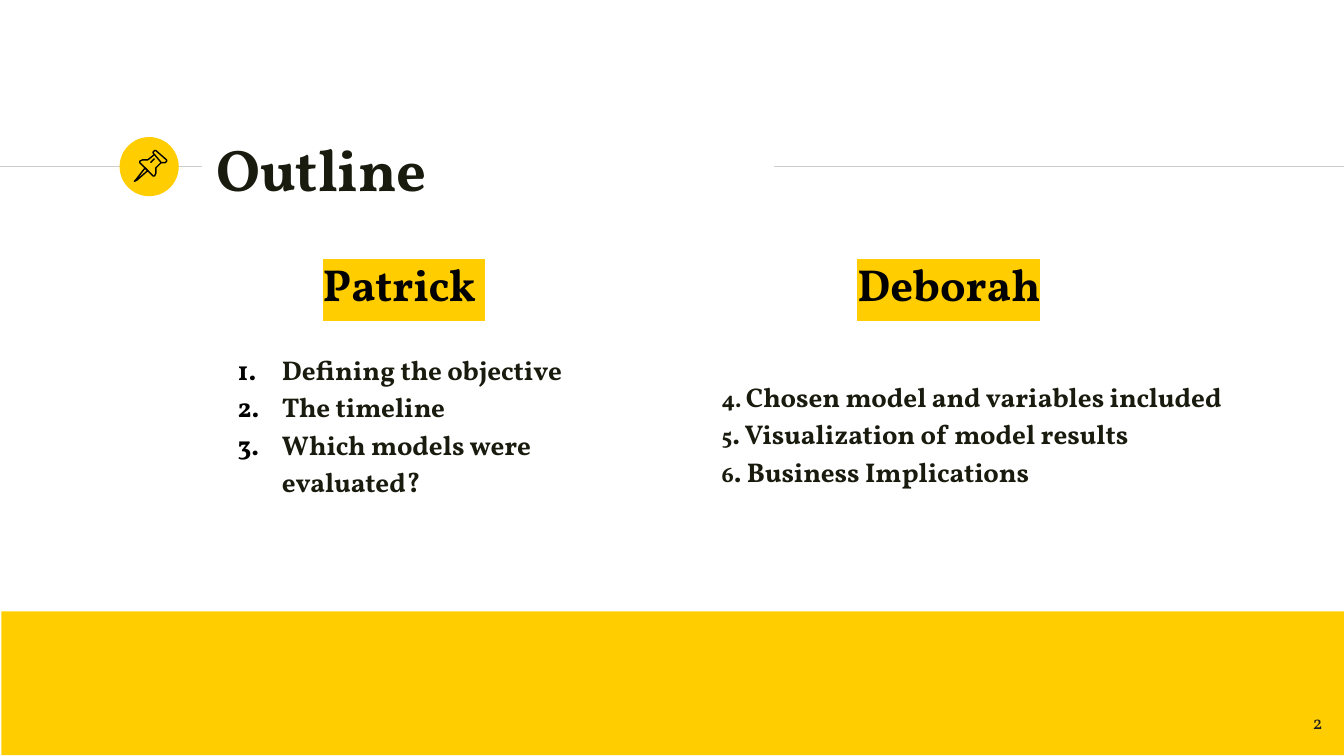
import pptx
import pptx.util
import pptx.dml.color
import pptx.enum.shapes
import pptx.enum.text
import pptx.oxml
import pptx.oxml.ns
import lxml.etree

Inches, Pt = pptx.util.Inches, pptx.util.Pt
SHAPE = pptx.enum.shapes.MSO_SHAPE
ALIGN = pptx.enum.text.PP_ALIGN
ANCHOR = pptx.enum.text.MSO_ANCHOR
FONT, YELLOW, INK, BLACK, GREY = "Vollkorn", "FFCD00", "191B0E", "000000", "CCCCCC"

PIN = [
    ([(19, 23), (12, 32), (11, 33), (13, 32), (21, 25)], True),
    ([(26, 13), (31, 19), (34, 19), (35, 18), (35, 17), (27, 10), (26, 10), (25, 11), (25, 12)], True),
    ([(26, 13), (21, 17), (17, 17), (15, 18), (15, 19), (25, 29), (26, 29), (27, 27), (27, 23), (31, 19)], False),
    ([(23, 19), (26, 16)], False),
]


def rgb(color):
    return pptx.dml.color.RGBColor.from_string(color)


def element(parent, tag, **attrs):
    return lxml.etree.SubElement(parent, pptx.oxml.ns.qn(tag), **attrs)


def style(r, size, color, bold=True):
    r.font.name = FONT
    r.font.size = Pt(size)
    r.font.bold = bold
    r.font.color.rgb = rgb(color)


def highlight(r, color):
    rPr = r._r.get_or_add_rPr()
    mark = element(rPr, "a:highlight")
    element(mark, "a:srgbClr", val=color)
    rPr.find(pptx.oxml.ns.qn("a:solidFill")).addnext(mark)


def number(p):
    pPr = p._p.get_or_add_pPr()
    color = element(pPr, "a:buClr")
    element(color, "a:srgbClr", val=BLACK)
    element(pPr, "a:buFont", typeface=FONT)
    element(pPr, "a:buAutoNum", type="arabicPeriod")


def indent(p, left, first):
    pPr = p._p.get_or_add_pPr()
    pPr.set("marL", str(Inches(left)))
    pPr.set("indent", str(Inches(first)))


def place(sp, x, y, w, h):
    sp.left, sp.top, sp.width, sp.height = map(Inches, (x, y, w, h))


def frame(tf, anchor=ANCHOR.TOP):
    tf.word_wrap = True
    tf.auto_size = pptx.enum.text.MSO_AUTO_SIZE.NONE
    tf.vertical_anchor = anchor
    tf.margin_left = tf.margin_right = tf.margin_top = tf.margin_bottom = Inches(0.1)


def text_box(s, x, y, w, h):
    tf = s.shapes.add_textbox(*map(Inches, (x, y, w, h))).text_frame
    frame(tf)
    return tf


def rule(s, x1, x2, y):
    line = s.shapes.add_connector(
        pptx.enum.shapes.MSO_CONNECTOR.STRAIGHT, *map(Inches, (x1, y, x2, y)))
    line.line.color.rgb = rgb(GREY)
    line.line.width = Pt(0.75)
    element(line._element.spPr, "a:effectLst")


def block(s, kind, x, y, w, h):
    sp = s.shapes.add_shape(kind, *map(Inches, (x, y, w, h)))
    sp.shadow.inherit = False
    sp.fill.solid()
    sp.fill.fore_color.rgb = rgb(YELLOW)
    sp.line.fill.background()


def pin_badge(s, x, y, size):
    block(s, SHAPE.OVAL, x, y, size, size)
    pin = s.shapes.add_group_shape()
    unit = size / 44
    for points, closed in PIN:
        spots = [(Inches(x + px * unit), Inches(y + py * unit)) for px, py in points]
        builder = pin.shapes.build_freeform(*spots[0])
        builder.add_line_segments(spots[1:], close=closed)
        sp = builder.convert_to_shape()
        sp.shadow.inherit = False
        sp.fill.background()
        sp.line.color.rgb = rgb(BLACK)
        sp.line.width = Pt(0.75)


def header(s, title, x, y, w, h):
    middle = y + 0.23
    rule(s, 0, x - 0.01, middle)
    rule(s, x + w + 0.01, 10, middle)
    pin_badge(s, x - 0.62, y + 0.01, 0.44)
    sp = s.shapes.title
    place(sp, x, y, w, h)
    tf = sp.text_frame
    tf.text = title
    frame(tf, ANCHOR.MIDDLE)
    tf.paragraphs[0].alignment = ALIGN.LEFT
    style(tf.paragraphs[0].runs[0], 31.5, INK)


def speaker(s, name, items, gap, numbered, x, y, w, h):
    tf = text_box(s, x, y, w, h)
    tf.text = name
    p = tf.paragraphs[0]
    p.alignment = ALIGN.CENTER
    p.space_before = Pt(6)
    style(p.runs[0], 24, BLACK)
    highlight(p.runs[0], YELLOW)
    for i, (lead, text) in enumerate(items):
        p = tf.add_paragraph()
        p.line_spacing = 1.15
        p.space_before = Pt(0 if i else gap)
        if numbered:
            indent(p, 0.76, -0.33)
            number(p)
        else:
            indent(p, 0.5, 0)
        for part, size in ((lead, 12), (text, 14.5)):
            if part:
                r = p.add_run()
                r.text = part
                style(r, size, INK)


def page_number(s, text, x, y, w, h):
    tf = text_box(s, x, y, w, h)
    tf.text = text
    tf.paragraphs[0].alignment = ALIGN.RIGHT
    style(tf.paragraphs[0].runs[0], 10, "1D1D1B", False)


prs = pptx.Presentation()
prs.slide_width = Inches(10)
prs.slide_height = prs.slide_width * 9 // 16
s = prs.slides.add_slide(prs.slide_layouts[5])
block(s, SHAPE.RECTANGLE, 0.01, 4.55, 10, 1.07)
header(s, "Outline", 1.51, 1.01, 4.24, 0.48)
speaker(s, "Patrick ", [
    ("", "Defining the objective"),
    ("", "The timeline"),
    ("", "Which models were evaluated?"),
], 20.4, True, 1.24, 1.81, 3.53, 2.41)
speaker(s, "Deborah", [
    ("4. ", "Chosen model and variables included"),
    ("5", ". Visualization of model results"),
    ("6", ". Business Implications"),
], 34.8, False, 4.77, 1.81, 4.58, 2.41)
page_number(s, "2", 9.34, 5.19, 0.6, 0.43)
prs.save("out.pptx")
